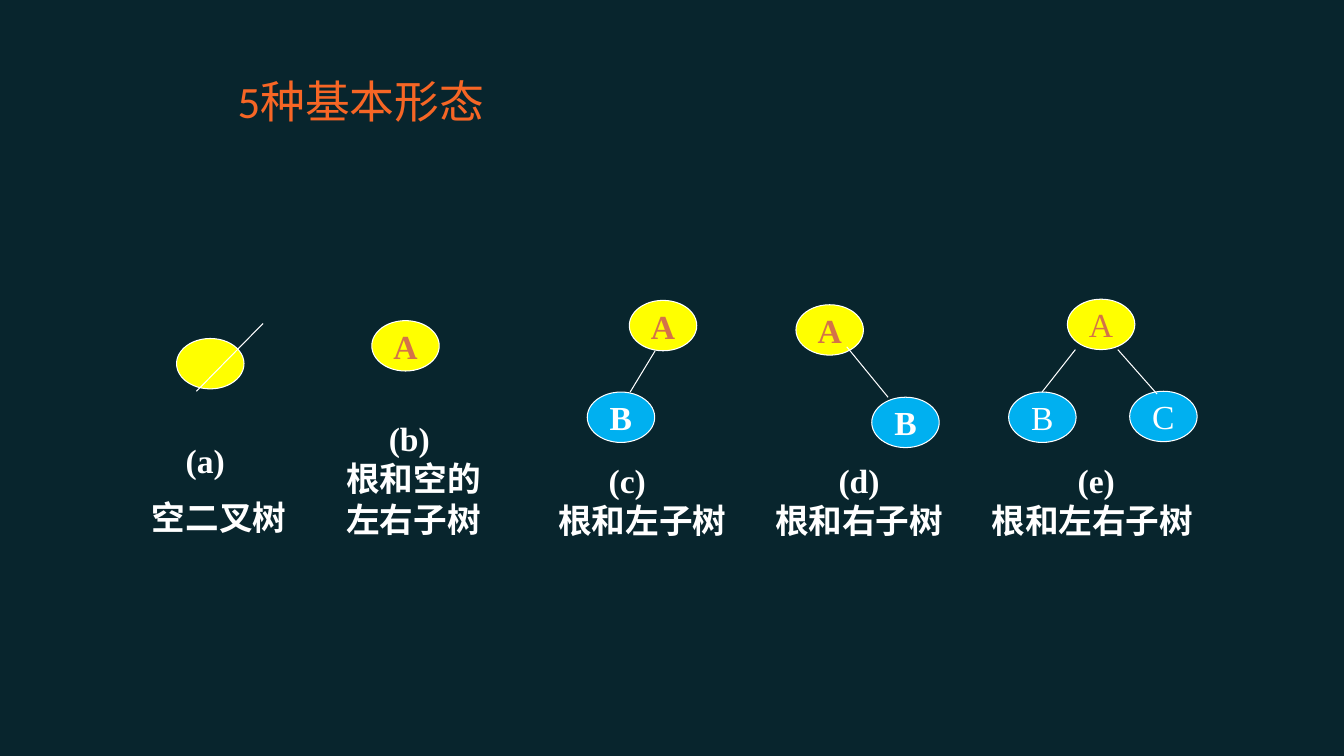
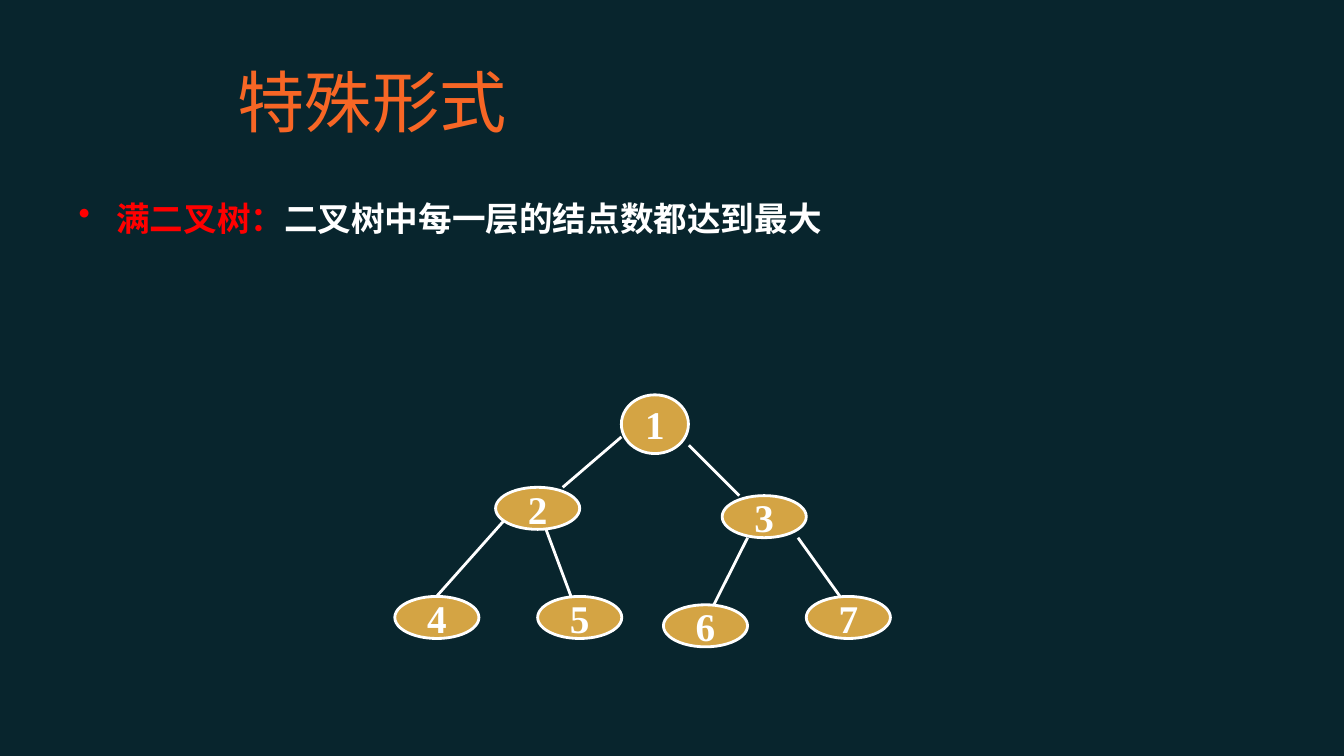
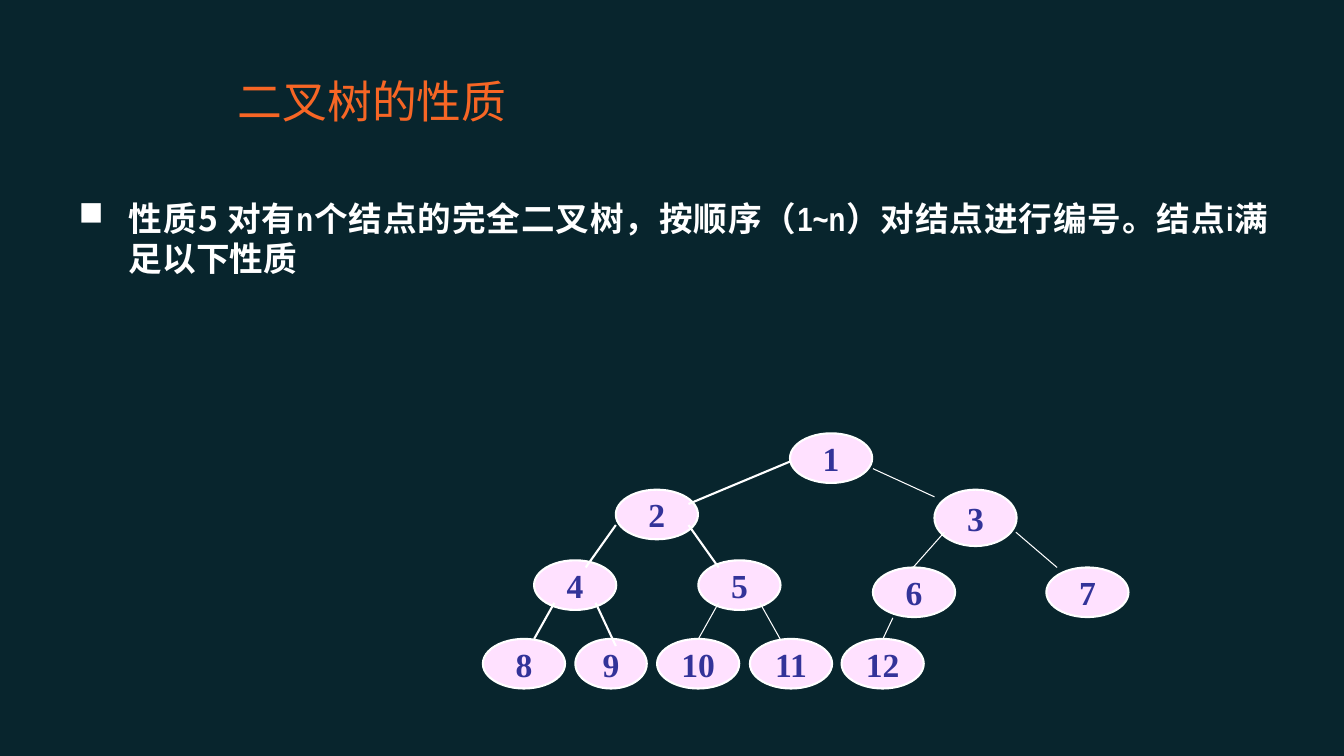
from dataclasses import dataclass

from lxml import etree
from pptx import Presentation
from pptx import util as u
from pptx.dml.color import RGBColor
from pptx.enum import shapes, text
from pptx.oxml.ns import qn


@dataclass(frozen=True)
class Theme:
    background: str = "08252D"
    title: str = "F76625"
    white: str = "FFFFFF"
    red: str = "FF0000"
    root_fill: str = "FFFF00"
    root_text: str = "D47348"
    child_fill: str = "00B0F0"
    gold: str = "D4A444"
    pink: str = "FFE1FF"
    navy: str = "333399"
    serif: str = "Times New Roman"
    sans: str = "Calibri"
    narrow: str = "Arial Narrow"
    chinese: str = "Noto Sans CJK SC"
    text_size: int = 24
    number_size: int = 28
    title_size: int = 32
    large_title_size: int = 48
    thin: float = 0.75
    medium: float = 1.5
    thick: float = 2


THEME = Theme()
LEFT, CENTER, JUSTIFY = text.PP_ALIGN.LEFT, text.PP_ALIGN.CENTER, text.PP_ALIGN.JUSTIFY
TITLE_BOX = (5.74, 1.52, 20.19, 2.01)
BODY_BOX = (1.73, 4.85, 30.48, 12.24)


@dataclass(frozen=True)
class NodeStyle:
    fill: str
    color: str
    size: int
    line: float
    width: float
    height: float
    bold: bool = True


ROOT = NodeStyle(THEME.root_fill, THEME.root_text, THEME.text_size, THEME.thin, 1.7, 1.27)
CHILD = NodeStyle(THEME.child_fill, THEME.white, THEME.text_size, THEME.thin, 1.7, 1.27)
LIGHT_ROOT = NodeStyle(THEME.root_fill, THEME.root_text, THEME.text_size, THEME.thin, 1.7, 1.27, False)
LIGHT_CHILD = NodeStyle(THEME.child_fill, THEME.white, THEME.text_size, THEME.thin, 1.7, 1.27, False)
GOLD = NodeStyle(THEME.gold, THEME.white, THEME.number_size, THEME.thick, 2.12, 1.06)
GOLD_ROOT = NodeStyle(THEME.gold, THEME.white, THEME.number_size, THEME.thick, 1.69, 1.48)
PINK = NodeStyle(THEME.pink, THEME.navy, THEME.text_size, THEME.medium, 2.07, 1.25)
PINK_TALL = NodeStyle(THEME.pink, THEME.navy, THEME.text_size, THEME.medium, 2.07, 1.42)
PINK_SLIM = NodeStyle(THEME.pink, THEME.navy, THEME.text_size, THEME.medium, 1.8, 1.25)

BASIC_FORMS = [
    {
        "nodes": [("", 4.45, 8.53, ROOT)],
        "edges": [(6.63, 8.15, 4.95, 9.86)],
        "box": (3.58, 10.95, 4.24, 2.82),
        "caption": ("(a)", "空二叉树"),
        "indent": 0.85, "gap": 12,
    },
    {
        "nodes": [("A", 9.37, 8.08, ROOT)],
        "edges": [],
        "box": (8.48, 10.41, 4.65, 3.33),
        "caption": ("(b)", "根和空的左右子树"),
        "indent": 1.07,
    },
    {
        "nodes": [("A", 15.86, 7.57, ROOT), ("B", 14.8, 9.88, CHILD)],
        "edges": [(16.51, 8.84, 15.88, 9.88)],
        "box": (13.82, 11.46, 4.8, 2.31),
        "caption": ("(c)", "根和左子树"),
        "indent": 1.27, "wrap": False,
    },
    {
        "nodes": [("A", 20.06, 7.68, ROOT), ("B", 21.97, 10.01, CHILD)],
        "edges": [(21.34, 8.74, 22.38, 10.01)],
        "box": (19.25, 11.46, 4.8, 2.31),
        "caption": ("(d)", "根和右子树"),
        "align": CENTER, "wrap": False,
    },
    {
        "nodes": [("A", 26.9, 7.54, LIGHT_ROOT), ("C", 28.47, 9.86, LIGHT_CHILD),
                  ("B", 25.42, 9.88, LIGHT_CHILD)],
        "edges": [(27.1, 8.81, 26.26, 9.88), (28.17, 8.81, 29.16, 9.93)],
        "box": (24.71, 11.46, 5.64, 2.31),
        "caption": ("(e)", "根和左右子树"),
        "align": CENTER, "indent": 0.2, "wrap": False,
    },
]

FULL_TREE = {
    "nodes": [
        ("1", 15.66, 9.95, GOLD_ROOT),
        ("2", 12.49, 12.28, GOLD), ("3", 18.2, 12.49, GOLD),
        ("4", 9.95, 15.03, GOLD), ("5", 13.55, 15.03, GOLD),
        ("6", 16.72, 15.24, GOLD), ("7", 20.32, 15.03, GOLD),
    ],
    "edges": [
        (15.66, 11.01, 14.18, 12.28), (17.36, 11.22, 18.63, 12.49),
        (12.7, 13.12, 11, 15.03), (13.76, 13.34, 14.39, 15.03),
        (18.84, 13.55, 17.99, 15.24), (20.11, 13.55, 21.17, 15.03),
    ],
}

COMPLETE_TREE = {
    "nodes": [
        ("1", 19.91, 10.92, PINK),
        ("2", 15.52, 12.34, PINK), ("3", 23.55, 12.34, PINK_TALL),
        ("4", 13.46, 14.12, PINK), ("5", 17.6, 14.12, PINK),
        ("6", 22, 14.3, PINK), ("7", 26.37, 14.3, PINK),
        ("8", 12.17, 16.1, PINK), ("9", 14.5, 16.1, PINK_SLIM),
        ("10", 16.56, 16.1, PINK), ("11", 18.9, 16.1, PINK), ("12", 21.21, 16.1, PINK),
    ],
    "medium_edges": [
        (19.91, 11.63, 17.35, 12.7),
        (15.52, 13.23, 14.76, 14.3), (17.35, 13.23, 18.11, 14.3),
        (13.97, 15.19, 13.46, 16.1), (15.01, 15.19, 15.52, 16.28),
    ],
    "thin_edges": [
        (22, 11.81, 23.55, 12.52),
        (23.8, 13.41, 23.01, 14.3), (25.6, 13.41, 26.64, 14.3),
        (18.11, 15.19, 17.6, 16.1), (19.15, 15.19, 19.66, 16.1),
        (22.5, 15.57, 22.25, 16.1),
    ],
}

FULL_TREE_TEXT = [
    ("满二叉树：", THEME.chinese, THEME.red),
    ("二叉树中每一层的结点数都达到最大", THEME.serif, THEME.white),
]
PROPERTY_TEXT = [
    ("性质5 ", THEME.chinese, THEME.white),
    ("对有n个结点的完全二叉树，按顺序（1~n）对结点进行编号。结点i满足以下性质",
     THEME.narrow, THEME.white),
]


def color_of(value):
    return RGBColor.from_string(value)


def set_font(font, properties, name, size, color, bold):
    font.name, font.size, font.bold = name, u.Pt(size), bold
    font.color.rgb = color_of(color)
    latin = properties.find(qn("a:latin"))
    east_asian = etree.Element(qn("a:ea"), typeface=THEME.chinese)
    latin.addnext(east_asian)


def set_paragraph_font(paragraph, name, size, color, bold=False):
    font = paragraph.font
    properties = paragraph._p.get_or_add_pPr().find(qn("a:defRPr"))
    set_font(font, properties, name, size, color, bold)


def add_text_box(slide, box, wrap=True):
    frame = slide.shapes.add_textbox(*map(u.Cm, box)).text_frame
    frame.word_wrap = wrap
    return frame


def add_title(slide, words, size=THEME.title_size):
    frame = add_text_box(slide, TITLE_BOX)
    frame.vertical_anchor = text.MSO_ANCHOR.MIDDLE
    paragraph = frame.paragraphs[0]
    paragraph.text = words
    set_paragraph_font(paragraph, THEME.sans, size, THEME.title)


def add_bullet(slide, parts, bullet, indent, align=LEFT):
    paragraph = add_text_box(slide, BODY_BOX).paragraphs[0]
    paragraph.alignment = align
    properties = paragraph._p.get_or_add_pPr()
    properties.set("marL", str(u.Cm(indent)))
    properties.set("indent", str(-u.Cm(indent)))
    bullet_color = etree.SubElement(properties, qn("a:buClr"))
    etree.SubElement(bullet_color, qn("a:srgbClr"), val=parts[0][2])
    etree.SubElement(properties, qn("a:buChar"), char=bullet)
    for words, name, color in parts:
        run = paragraph.add_run()
        run.text = words
        set_font(run.font, run._r.get_or_add_rPr(), name, THEME.text_size, color, True)


def add_node(slide, label, left, top, style):
    box = map(u.Cm, (left, top, style.width, style.height))
    shape = slide.shapes.add_shape(shapes.MSO_SHAPE.OVAL, *box)
    shape.shadow.inherit = False
    shape.fill.solid()
    shape.fill.fore_color.rgb = color_of(style.fill)
    shape.line.color.rgb = color_of(THEME.white)
    shape.line.width = u.Pt(style.line)
    if label:
        frame = shape.text_frame
        frame.word_wrap = False
        frame.vertical_anchor = text.MSO_ANCHOR.MIDDLE
        paragraph = frame.paragraphs[0]
        paragraph.text = label
        paragraph.alignment = CENTER
        set_paragraph_font(paragraph, THEME.serif, style.size, style.color, style.bold)


def add_edge(slide, ends, width):
    edge = slide.shapes.add_connector(shapes.MSO_CONNECTOR.STRAIGHT, *map(u.Cm, ends))
    edge.line.color.rgb = color_of(THEME.white)
    edge.line.width = u.Pt(width)
    etree.SubElement(edge._element.spPr, qn("a:effectLst"))


def add_tree(slide, nodes, edges, width):
    for node in nodes:
        add_node(slide, *node)
    for ends in edges:
        add_edge(slide, ends, width)


def add_caption(slide, form):
    frame = add_text_box(slide, form["box"], form.get("wrap", True))
    letter, description = frame.paragraphs[0], frame.add_paragraph()
    letter._p.get_or_add_pPr().set("marL", str(u.Cm(form.get("indent", 0))))
    description.space_before = u.Pt(form.get("gap", 0))
    for paragraph, words in zip((letter, description), form["caption"]):
        paragraph.text = words
        paragraph.alignment = form.get("align", LEFT)
        set_paragraph_font(paragraph, THEME.serif, THEME.text_size, THEME.white, True)


def build_basic_forms(slide):
    add_title(slide, "5种基本形态")
    for form in BASIC_FORMS:
        add_tree(slide, form["nodes"], form["edges"], THEME.thin)
        add_caption(slide, form)


def build_full_tree(slide):
    add_title(slide, "特殊形式", THEME.large_title_size)
    add_bullet(slide, FULL_TREE_TEXT, "•", 0.95)
    add_tree(slide, FULL_TREE["nodes"], FULL_TREE["edges"], THEME.thick)


def build_complete_tree(slide):
    add_title(slide, "二叉树的性质")
    add_bullet(slide, PROPERTY_TEXT, "■", 1.27, JUSTIFY)
    add_tree(slide, COMPLETE_TREE["nodes"], COMPLETE_TREE["medium_edges"], THEME.medium)
    add_tree(slide, [], COMPLETE_TREE["thin_edges"], THEME.thin)


def main():
    presentation = Presentation()
    presentation.slide_width, presentation.slide_height = u.Cm(33.87), u.Cm(19.05)
    background = presentation.slide_master.background.fill
    background.solid()
    background.fore_color.rgb = color_of(THEME.background)
    for build in (build_basic_forms, build_full_tree, build_complete_tree):
        build(presentation.slides.add_slide(presentation.slide_layouts[6]))
    presentation.save("out.pptx")


if __name__ == "__main__":
    main()
